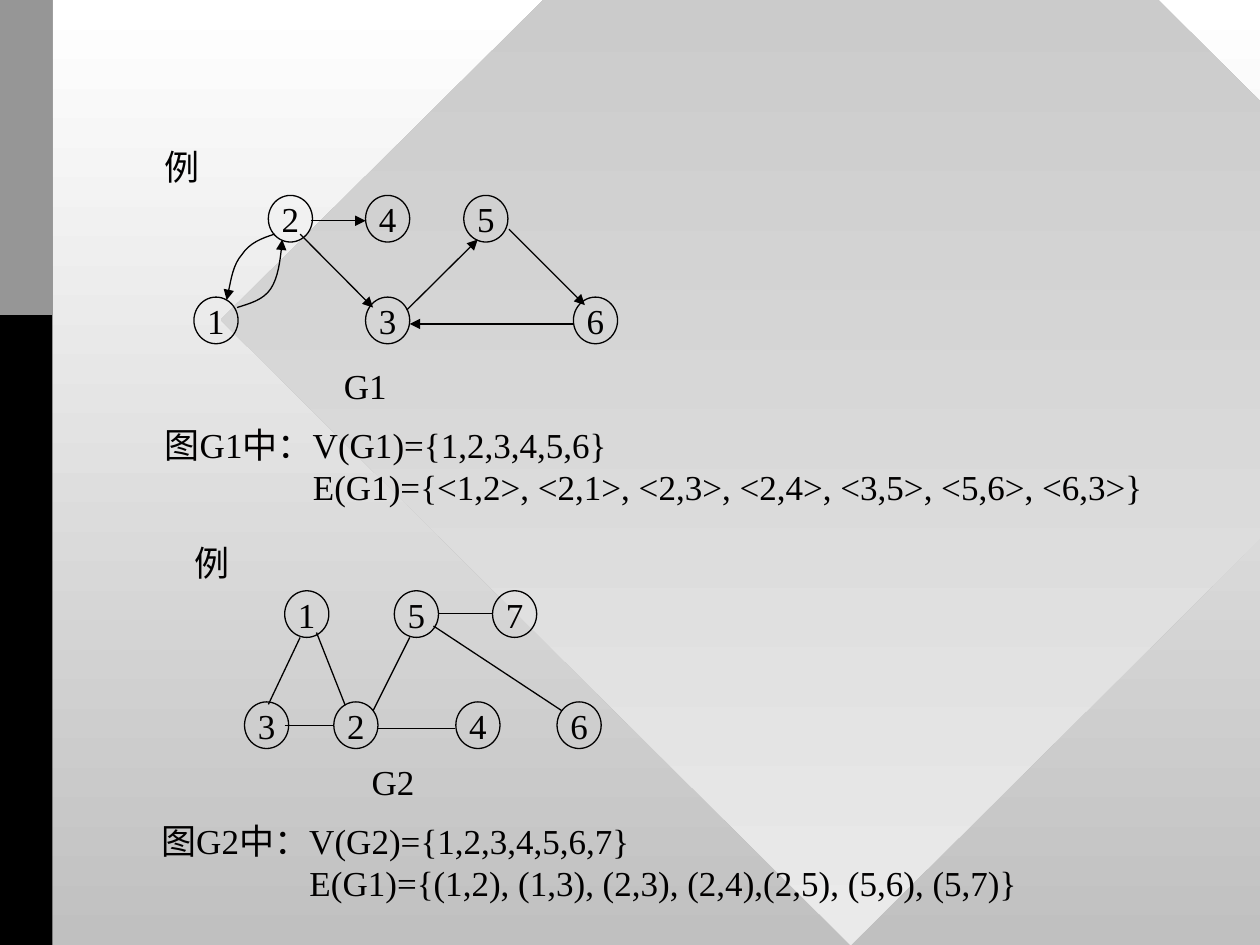
from lxml.etree import SubElement
from pptx import Presentation
from pptx.dml.color import RGBColor
from pptx.enum.shapes import MSO_CONNECTOR, MSO_SHAPE
from pptx.enum.text import MSO_ANCHOR, PP_ALIGN
from pptx.oxml.ns import qn
from pptx.util import Cm, Pt

FONT, SIZE = "Times New Roman", Pt(20)
COLOURS = {"ink": "010000", "white": "FFFFFF", "silver": "C0C0C0",
           "pale": "EAEAEA", "black": "000000", "grey": "969696"}
NODE_WIDTH, NODE_HEIGHT = 0.89, 0.94
LABEL_HEIGHT, STATEMENT_HEIGHT = 1.12, 1.96
SECOND_LINE_INDENT = 2.99

# Lengths are in centimetres. Each row of nodes: top, then (label, left).
GRAPHS = [
    {
        "heading": ("例", 3.07, 2.79, 1.22),
        "rows": [(3.94, [("2", 5.41), ("4", 7.37), ("5", 9.35)]),
                 (5.99, [("1", 3.91), ("3", 7.37), ("6", 11.56)])],
        "directed": True,
        "edges": [(6.27, 4.45, 7.37, 4.45), (6.05, 4.72, 7.52, 6.2),
                  (11.58, 6.53, 8.26, 6.53), (8.2, 6.25, 9.63, 4.83),
                  (10.26, 4.62, 11.79, 6.15)],
        "curves": [
            [(5.54, 4.72), (5.28, 4.8), (5.03, 4.9), (4.88, 5.13),
             (4.7, 5.33), (4.6, 5.92), (4.57, 6.05)],
            [(4.78, 6.2), (5.03, 6.12), (5.31, 6.05), (5.46, 5.82),
             (5.61, 5.59), (5.69, 4.95), (5.69, 4.83)],
        ],
        "name": ("G1", 6.68, 7.21, 1.37),
        "statement": (["图G1中：V(G1)={1,2,3,4,5,6}",
                       "E(G1)={<1,2>, <2,1>, <2,3>, <2,4>, <3,5>, <5,6>, <6,3>}"],
                      3.07, 8.41, 20.24),
    },
    {
        "heading": ("例", 3.66, 10.77, 1.22),
        "rows": [(11.91, [("1", 5.74), ("5", 7.95), ("7", 9.93)]),
                 (14.15, [("3", 4.93), ("2", 6.73), ("4", 9.19), ("6", 11.23)])],
        "directed": False,
        "edges": [(6.05, 12.85, 5.41, 14.2), (5.74, 14.63, 6.73, 14.63),
                  (6.38, 12.75, 6.96, 14.22), (8.26, 12.85, 7.52, 14.33),
                  (7.59, 14.68, 9.17, 14.68), (8.84, 12.37, 9.91, 12.37),
                  (8.74, 12.62, 11.33, 14.33)],
        "curves": [],
        "name": ("G2", 7.24, 15.19, 1.37),
        "statement": (["图G2中：V(G2)={1,2,3,4,5,6,7}",
                       "E(G1)={(1,2), (1,3), (2,3), (2,4),(2,5), (5,6), (5,7)}"],
                      3.0, 16.38, 17.78),
    },
]


def colour(name):
    return RGBColor.from_string(COLOURS[name])


def fill_gradient(fill, first, last):
    """Fill from the first colour at the top to the last at the bottom."""
    fill.gradient()
    fill.gradient_angle = 270
    for stop, name in zip(fill.gradient_stops, (first, last)):
        stop.color.rgb = colour(name)


def add_plain_shape(slide, kind, left, top, width, height):
    shape = slide.shapes.add_shape(kind, Cm(left), Cm(top), Cm(width), Cm(height))
    shape.shadow.inherit = False
    return shape


def add_block(slide, left, top, width, height, fill_name):
    block = add_plain_shape(slide, MSO_SHAPE.RECTANGLE, left, top, width, height)
    block.fill.solid()
    block.fill.fore_color.rgb = colour(fill_name)
    block.line.fill.background()


def write_text(shape, lines, alignment):
    frame = shape.text_frame
    frame.text = "\n".join(lines)
    frame.word_wrap = False
    frame.vertical_anchor = MSO_ANCHOR.MIDDLE
    for para in frame.paragraphs:
        para.alignment = alignment
        for span in para.runs:
            span.font.name = FONT
            span.font.size = SIZE
            span.font.color.rgb = colour("ink")


def add_label(slide, text, left, top, width):
    box = slide.shapes.add_textbox(Cm(left), Cm(top), Cm(width), Cm(LABEL_HEIGHT))
    write_text(box, [text], PP_ALIGN.CENTER)


def add_statement(slide, lines, left, top, width):
    box = slide.shapes.add_textbox(Cm(left), Cm(top), Cm(width), Cm(STATEMENT_HEIGHT))
    write_text(box, lines, PP_ALIGN.LEFT)
    properties = box.text_frame.paragraphs[1]._p.get_or_add_pPr()
    properties.set("marL", str(Cm(SECOND_LINE_INDENT)))


def add_node(slide, text, left, top):
    node = add_plain_shape(slide, MSO_SHAPE.OVAL, left, top, NODE_WIDTH, NODE_HEIGHT)
    node.fill.background()
    style_line(node.line, False)
    write_text(node, [text], PP_ALIGN.CENTER)


def style_line(line, arrow):
    line.color.rgb = colour("ink")
    line.width = Pt(0.75)
    if arrow:
        SubElement(line._get_or_add_ln(), qn("a:tailEnd"), type="triangle")


def add_edge(slide, ends, arrow):
    edge = slide.shapes.add_connector(MSO_CONNECTOR.STRAIGHT, *map(Cm, ends))
    style_line(edge.line, arrow)
    SubElement(edge._element.spPr, qn("a:effectLst"))


def add_curve(slide, points, arrow):
    """Draw a start point followed by groups of three Bezier points."""
    start, *rest = [(Cm(x), Cm(y)) for x, y in points]
    builder = slide.shapes.build_freeform(*start)
    builder.add_line_segments(rest, close=False)
    curve = builder.convert_to_shape()
    curve.shadow.inherit = False
    curve.fill.background()
    style_line(curve.line, arrow)
    outline = next(curve._element.iter(qn("a:path")))
    segments = outline.findall(qn("a:lnTo"))
    for first in range(0, len(segments), 3):
        bezier = SubElement(outline, qn("a:cubicBezTo"))
        for segment in segments[first:first + 3]:
            bezier.append(segment[0])
            outline.remove(segment)


def add_backdrop(slide):
    fill_gradient(slide.background.fill, "white", "silver")
    diamond = add_plain_shape(slide, MSO_SHAPE.DIAMOND, 4.45, -6.15, 25.4, 25.2)
    fill_gradient(diamond.fill, "silver", "pale")
    diamond.line.fill.background()
    add_block(slide, 0, 0, 1.06, 19.05, "black")
    add_block(slide, 0, 0, 1.06, 6.35, "grey")


def add_graph(slide, graph):
    add_label(slide, *graph["heading"])
    for top, nodes in graph["rows"]:
        for text, left in nodes:
            add_node(slide, text, left, top)
    for ends in graph["edges"]:
        add_edge(slide, ends, graph["directed"])
    for points in graph["curves"]:
        add_curve(slide, points, graph["directed"])
    add_label(slide, *graph["name"])
    add_statement(slide, *graph["statement"])


def main():
    deck = Presentation()
    deck.slide_width, deck.slide_height = Cm(25.4), Cm(19.05)
    page = deck.slides.add_slide(deck.slide_layouts[6])
    add_backdrop(page)
    for graph in GRAPHS:
        add_graph(page, graph)
    deck.save("out.pptx")


if __name__ == "__main__":
    main()
